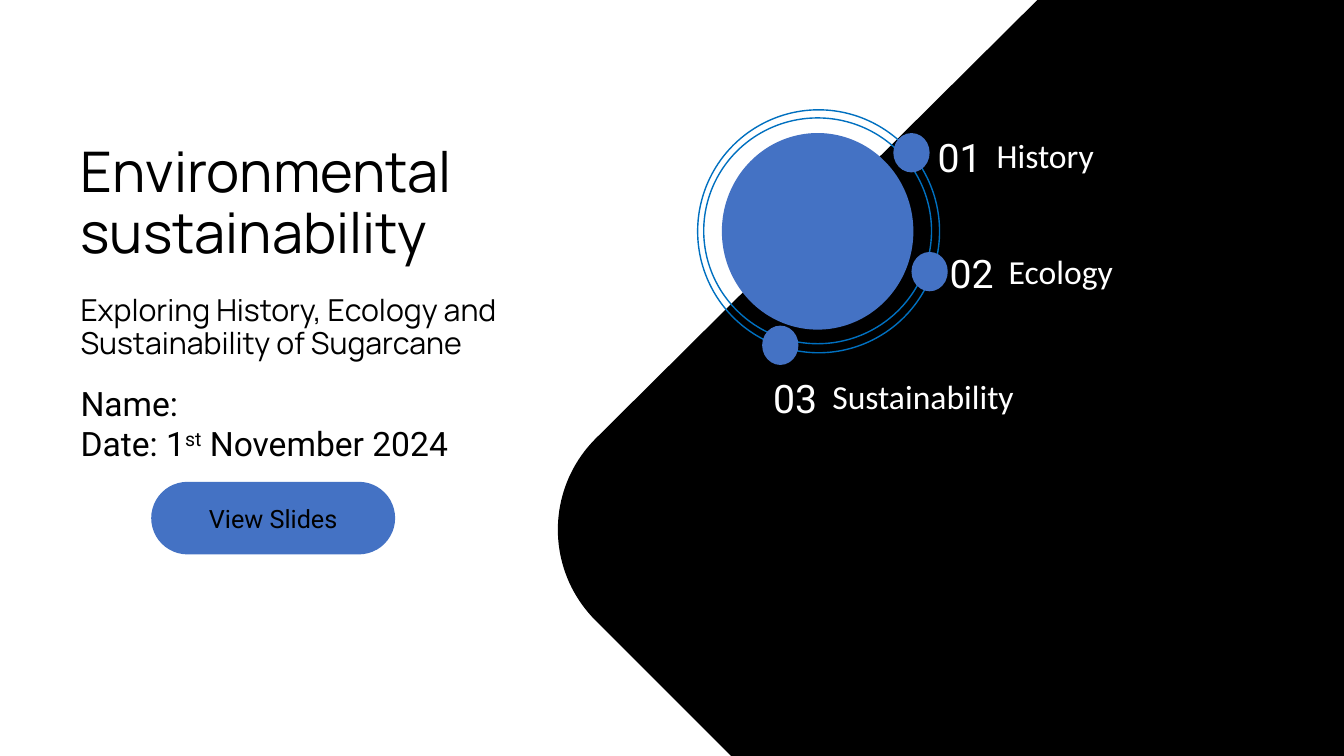
from pptx import Presentation
from pptx.dml.color import RGBColor
from pptx.enum.shapes import MSO_SHAPE as SHAPE
from pptx.enum.text import MSO_ANCHOR as ANCHOR, PP_ALIGN as ALIGN
from pptx.util import Inches, Pt

BLACK = RGBColor(0x00, 0x00, 0x00)
WHITE = RGBColor(0xFF, 0xFF, 0xFF)
BLUE = RGBColor(0x44, 0x72, 0xC4)
RING_BLUE = RGBColor(0x00, 0x70, 0xC0)

prs = Presentation()
prs.slide_width, prs.slide_height = Inches(13.33), Inches(7.5)
s = prs.slides.add_slide(prs.slide_layouts[6])

# All lengths are percentages of the slide's width and height
X, Y = prs.slide_width / 100, prs.slide_height / 100


def add_shape(kind, x, y, w, h, fill=None, line=None):
    sp = s.shapes.add_shape(kind, int(x * X), int(y * Y), int(w * X), int(h * Y))
    sp.shadow.inherit = False
    if fill is None:
        sp.fill.background()
    else:
        sp.fill.solid()
        sp.fill.fore_color.rgb = fill
    if line is None:
        sp.line.fill.background()
    else:
        sp.line.color.rgb = line
        sp.line.width = Pt(1)
    return sp


def add_text(text, x, y, w, h, font, size, color, wrap=True):
    sp = s.shapes.add_textbox(int(x * X), int(y * Y), int(w * X), int(h * Y))
    tf = sp.text_frame
    tf.word_wrap = wrap
    tf.text = text
    for p in tf.paragraphs:
        p.font.name, p.font.size, p.font.color.rgb = font, Pt(size), color
    return tf


# Black panel: straight edges, then a rounded corner on the left
edges = [(100, 0), (100, 100), (54.39, 100), (44.34, 82.13)]
corner = [(44.34, 82.13), (40.58, 75.47), (40.58, 64.8), (44.26, 58.13)]
STEPS = 40
for i in range(1, STEPS + 1):
    t = i / STEPS
    weights = ((1 - t) ** 3, 3 * t * (1 - t) ** 2, 3 * t ** 2 * (1 - t), t ** 3)
    edges.append(tuple(sum(k * pt[axis] for k, pt in zip(weights, corner))
                       for axis in (0, 1)))
builder = s.shapes.build_freeform(int(77.19 * X), 0)
builder.add_line_segments([(int(x * X), int(y * Y)) for x, y in edges])
panel = builder.convert_to_shape()
panel.shadow.inherit = False
panel.fill.solid()
panel.fill.fore_color.rgb = BLACK
panel.line.fill.background()

# Title and subtitle
for text, y, h, size in [
    ("Environmental sustainability", 17.47, 19.33, 40),
    ("Exploring History, Ecology and Sustainability of Sugarcane", 38.4, 10, 21.6),
]:
    tf = add_text(text, 5.25, y, 43, h, "Manrope", size, BLACK)
    tf.vertical_anchor = ANCHOR.MIDDLE
    tf.paragraphs[0].line_spacing = 0.9

# Name and date, with the ordinal raised
tf = add_text("Name:\nDate: 1", 5.25, 50, 36.46, 12.13, "Roboto", 24, BLACK)
p = tf.paragraphs[1]
ordinal = p.add_run()
ordinal.text = "st"
ordinal.font._element.set("baseline", "30000")
p.add_run().text = " November 2024"

# Button
button = add_shape(SHAPE.ROUNDED_RECTANGLE, 11.25, 63.73, 18.15, 9.6, BLUE)
button.adjustments[0] = 0.5
tf = button.text_frame
tf.text = "View Slides"
tf.vertical_anchor = ANCHOR.MIDDLE
p = tf.paragraphs[0]
p.alignment = ALIGN.CENTER
p.font.name, p.font.size, p.font.color.rgb = "Roboto", Pt(18), BLACK

# Disc with two rings
add_shape(SHAPE.OVAL, 53.71, 17.6, 14.25, 26, BLUE)
add_shape(SHAPE.OVAL, 52.36, 15.6, 16.95, 29.87, line=RING_BLUE)
add_shape(SHAPE.OVAL, 51.91, 14.53, 18, 32.13, line=RING_BLUE)

# Agenda: dot on the rings, number and topic
for number, topic, x, y, w, dot_x, dot_y in [
    ("01", "History", 69.02, 16.93, 9.38, 66.47, 17.6),
    ("02", "Ecology", 69.92, 32.27, 9.38, 67.82, 33.33),
    ("03", "Sustainability", 56.79, 48.8, 16.88, 56.71, 43.07),
]:
    add_shape(SHAPE.OVAL, dot_x, dot_y, 2.7, 5.2, BLUE)
    add_text(number, x, y, 4.95, 7.6, "Roboto", 28, WHITE, wrap=False)
    add_text(topic, x + 4.4, y + 0.3, w, 6.67, "Calibri", 24, WHITE)

prs.save("out.pptx")
